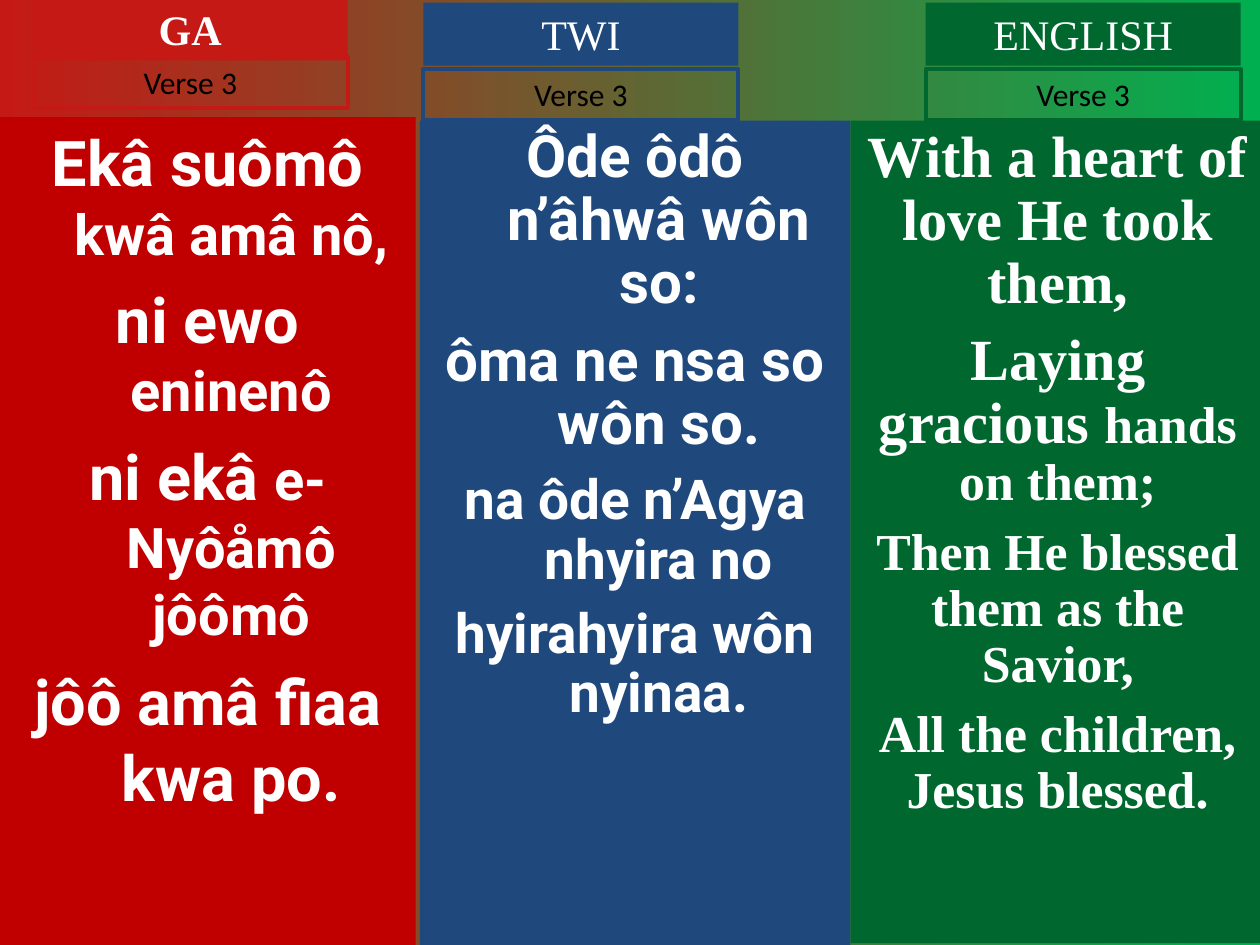
"""Build a hymn slide with one verse in Ga, Twi and English."""
from pptx import Presentation
from pptx.dml.color import RGBColor
from pptx.enum import shapes, text
from pptx.util import Pt

COLORS = {
    "ga_label": "C51915", "ga_body": "C00000", "twi": "1F497D",
    "english": "00682F", "backdrop_end": "00B050",
    "verse": "FFFFFF", "verse_label": "000000",
}
LABEL_WIDTH = 180
HANGING = 27

GA_VERSE = [
    (8, [("Ekâ suômô ", 36), ("kwâ amâ nô,", 32)]),
    (8, [("ni ewo ", 36), ("eninenô", 32)]),
    (8, [("ni ekâ ", 36), ("e-Nyôåmô jôômô", 32)]),
    (9, [("jôô amâ fiaa kwa po.", 36)]),
]
TWI_VERSE = [
    (9, [("Ôde ôdô n’âhwâ wôn so:", 33.3)]),
    (9, [("ôma ne nsa so wôn so.", 33.3)]),
    (8.5, [("na ôde n’Agya nhyira no", 31.4)]),
    (8.5, [("hyirahyira wôn nyinaa.", 31.4)]),
]
ENGLISH_VERSE = [
    (9, [("With a heart of love He took them,", 33.3)]),
    (8, [("Laying gracious ", 33.3), ("hands on them;", 29.6)]),
    (8, [("Then He blessed them as the Savior,", 29.6)]),
    (8, [("All the children, Jesus blessed.", 29.6)]),
]


def rgb(name):
    """Return the named palette colour."""
    return RGBColor.from_string(COLORS[name])


def paint_backdrop(slide):
    """Fill the slide with a red to green gradient."""
    fill = slide.background.fill
    fill.gradient()
    fill.gradient_angle = 0
    for stop, position, name in zip(fill.gradient_stops, (0, 1), ("ga_label", "backdrop_end")):
        stop.position = position
        stop.color.rgb = rgb(name)


def add_box(slide, bounds, fill=None, outline=None):
    """Add a plain rectangle with top-anchored, wrapping text."""
    box = slide.shapes.add_shape(shapes.MSO_SHAPE.RECTANGLE, *map(Pt, bounds))
    box.shadow.inherit = False
    if fill:
        box.fill.solid()
        box.fill.fore_color.rgb = rgb(fill)
    else:
        box.fill.background()
    if outline:
        box.line.color.rgb = rgb(outline)
        box.line.width = Pt(2.25)
    else:
        box.line.fill.background()
    box.text_frame.word_wrap = True
    box.text_frame.vertical_anchor = text.MSO_ANCHOR.TOP
    return box


def add_run(paragraph, words, size, font, color, bold=False):
    """Append one formatted run."""
    run = paragraph.add_run()
    run.text = words
    run.font.size = Pt(size)
    run.font.name = font
    run.font.bold = bold
    run.font.color.rgb = rgb(color)


def add_label(slide, bounds, words, size, font, color, bold=False, **paint):
    """Add a one-line box that fits its text."""
    frame = add_box(slide, bounds, **paint).text_frame
    frame.auto_size = text.MSO_AUTO_SIZE.SHAPE_TO_FIT_TEXT
    line = frame.paragraphs[0]
    line.alignment = text.PP_ALIGN.CENTER
    add_run(line, words, size, font, color, bold)


def add_verse(slide, bounds, fill, verse, font, spacing, hanging):
    """Add a coloured panel with the lines of a verse."""
    frame = add_box(slide, bounds, fill=fill).text_frame
    for index, (space, runs) in enumerate(verse):
        line = frame.add_paragraph() if index else frame.paragraphs[0]
        line.alignment = text.PP_ALIGN.CENTER
        line.line_spacing = spacing
        line.space_before = Pt(space if index else 0)
        if hanging:
            properties = line._p.get_or_add_pPr()
            properties.set("marL", str(Pt(hanging)))
            properties.set("indent", str(-Pt(hanging)))
        for words, size in runs:
            add_run(line, words, size, font, "verse", True)


def add_column(slide, language, left, tops, label_color, bold, panel):
    """Add the verse panel, language label and verse label of a language."""
    language_top, verse_top = tops
    add_verse(slide, **panel)
    add_label(slide, (left, language_top, LABEL_WIDTH, 36), language, 24,
              "Times New Roman", "verse", bold, fill=label_color)
    add_label(slide, (left, verse_top, LABEL_WIDTH, 29), "Verse 3", 18,
              "Calibri", "verse_label", outline=label_color)


def main():
    """Build and save the slide."""
    deck = Presentation()
    deck.slide_width, deck.slide_height = Pt(720), Pt(540)
    slide = deck.slides.add_slide(deck.slide_layouts[6])
    paint_backdrop(slide)
    add_column(slide, "GA", 18.75, (-1.5, 32.5), "ga_label", True, dict(
        bounds=(0, 67, 237.5, 473), fill="ga_body", verse=GA_VERSE,
        font="Roboto", spacing=1, hanging=HANGING))
    add_column(slide, "TWI", 242, (1.5, 39.5), "twi", False, dict(
        bounds=(240, 69, 246, 471), fill="twi", verse=TWI_VERSE,
        font="Roboto", spacing=0.9, hanging=HANGING))
    add_column(slide, "ENGLISH", 529, (1.5, 39.5), "english", False, dict(
        bounds=(486, 69, 237, 470), fill="english", verse=ENGLISH_VERSE,
        font="Times New Roman", spacing=0.9, hanging=0))
    deck.save("out.pptx")


if __name__ == "__main__":
    main()
